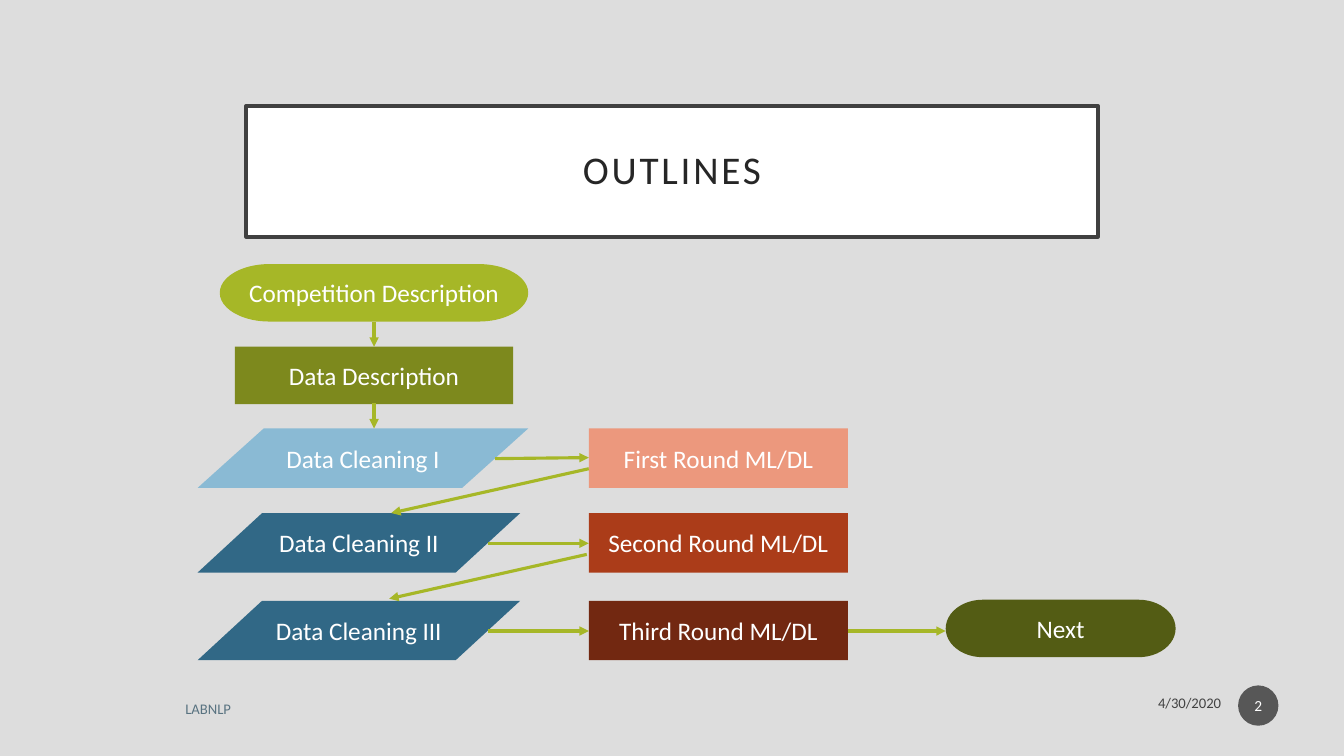
import pptx
import pptx.util
import pptx.dml.color
import pptx.enum.shapes
import pptx.enum.text
import pptx.oxml.ns
import lxml.etree

Inches = pptx.util.Inches
Pt = pptx.util.Pt
Kind = pptx.enum.shapes.MSO_SHAPE
Align = pptx.enum.text.PP_ALIGN
Anchor = pptx.enum.text.MSO_ANCHOR

END = Kind.FLOWCHART_TERMINATOR
DATA = Kind.FLOWCHART_DATA
STEP = Kind.RECTANGLE
GREEN = "A6B727"

TITLE = "OUTLINES"
ROWS = [4.25, 5.09, 5.96]
ROUNDS = [
    ("Data Cleaning I", 3.28, "8ABAD4", "First Round ML/DL", "EC987D"),
    ("Data Cleaning II", 3.2, "316886", "Second Round ML/DL", "AB3C19"),
    ("Data Cleaning III", 3.2, "316886", "Third Round ML/DL", "722811"),
]
NODES = [
    ("Competition Description", END, (2.18, 2.62, 3.06, 0.57), GREEN),
    ("Data Description", STEP, (2.33, 3.44, 2.76, 0.57), "7D891D"),
    ("Next", END, (9.38, 5.95, 2.28, 0.57), "535C14"),
]
ARROWS = [
    (3.71, 3.19, 3.71, 3.44),
    (3.71, 4, 3.71, 4.25),
    (4.91, 4.55, 5.84, 4.54),
    (5.84, 4.65, 3.88, 5.09),
    (4.84, 5.39, 5.84, 5.39),
    (5.82, 5.5, 3.86, 5.94),
    (4.84, 6.26, 5.84, 6.26),
    (8.41, 6.26, 9.38, 6.26),
]
NOTES = [
    ("4/30/2020", (9.2, 6.8, 3.01, 0.35), Align.RIGHT, "424242"),
    ("LABNLP", (1.74, 6.85, 6.45, 0.35), Align.LEFT, "597381"),
]
PAGE = ("2", Kind.OVAL, (12.28, 6.8, 0.4, 0.4), "575757")


def color(code):
    return pptx.dml.color.RGBColor.from_string(code)


def box(nums):
    return [Inches(n) for n in nums]


def write(shape, text, size, code, align=Align.CENTER):
    frame = shape.text_frame
    frame.text = text
    frame.word_wrap = True
    frame.vertical_anchor = Anchor.MIDDLE
    para = frame.paragraphs[0]
    para.alignment = align
    font = para.runs[0].font
    font.name = "Calibri"
    font.size = Pt(size)
    font.color.rgb = color(code)
    return frame


def pad(frame, side, top):
    frame.margin_left = frame.margin_right = Inches(side)
    frame.margin_top = frame.margin_bottom = Inches(top)


def node(slide, text, kind, place, fill, size=18):
    shape = slide.shapes.add_shape(kind, *box(place))
    shape.shadow.inherit = False
    shape.fill.solid()
    shape.fill.fore_color.rgb = color(fill)
    shape.line.fill.background()
    return write(shape, text, size, "FFFFFF")


def arrow(slide, ends):
    link = slide.shapes.add_connector(
        pptx.enum.shapes.MSO_CONNECTOR.STRAIGHT, *box(ends))
    link.line.color.rgb = color(GREEN)
    link.line.width = Pt(2.25)
    qn = pptx.oxml.ns.qn
    tail = lxml.etree.SubElement(link.line._get_or_add_ln(), qn("a:tailEnd"))
    tail.set("type", "triangle")
    lxml.etree.SubElement(link._element.spPr, qn("a:effectLst"))


def head(slide):
    title = slide.shapes.title
    title.left, title.top, title.width, title.height = box((2.44, 1.05, 8.45, 1.3))
    title.fill.solid()
    title.fill.fore_color.rgb = color("FFFFFF")
    title.line.color.rgb = color("404040")
    title.line.width = Pt(2.5)
    frame = write(title, TITLE, 28, "262626")
    pad(frame, 0.2, 0.2)
    para = frame.paragraphs[0]
    para.line_spacing = 0.9
    para.runs[0]._r.get_or_add_rPr().set("spc", "200")


def main():
    deck = pptx.Presentation()
    deck.slide_width = Inches(13.33)
    deck.slide_height = Inches(7.5)
    slide = deck.slides.add_slide(deck.slide_layouts[5])
    slide.background.fill.solid()
    slide.background.fill.fore_color.rgb = color("DDDDDD")
    head(slide)
    for item in NODES:
        node(slide, *item)
    for top, (clean, width, blue, model, red) in zip(ROWS, ROUNDS):
        node(slide, clean, DATA, (1.96, top, width, 0.59), blue)
        node(slide, model, STEP, (5.84, top, 2.57, 0.59), red)
    for ends in ARROWS:
        arrow(slide, ends)
    for text, place, align, code in NOTES:
        write(slide.shapes.add_textbox(*box(place)), text, 10.5, code, align)
    pad(node(slide, *PAGE, size=11), 0.02, 0.05)
    deck.save("out.pptx")


if __name__ == "__main__":
    main()
